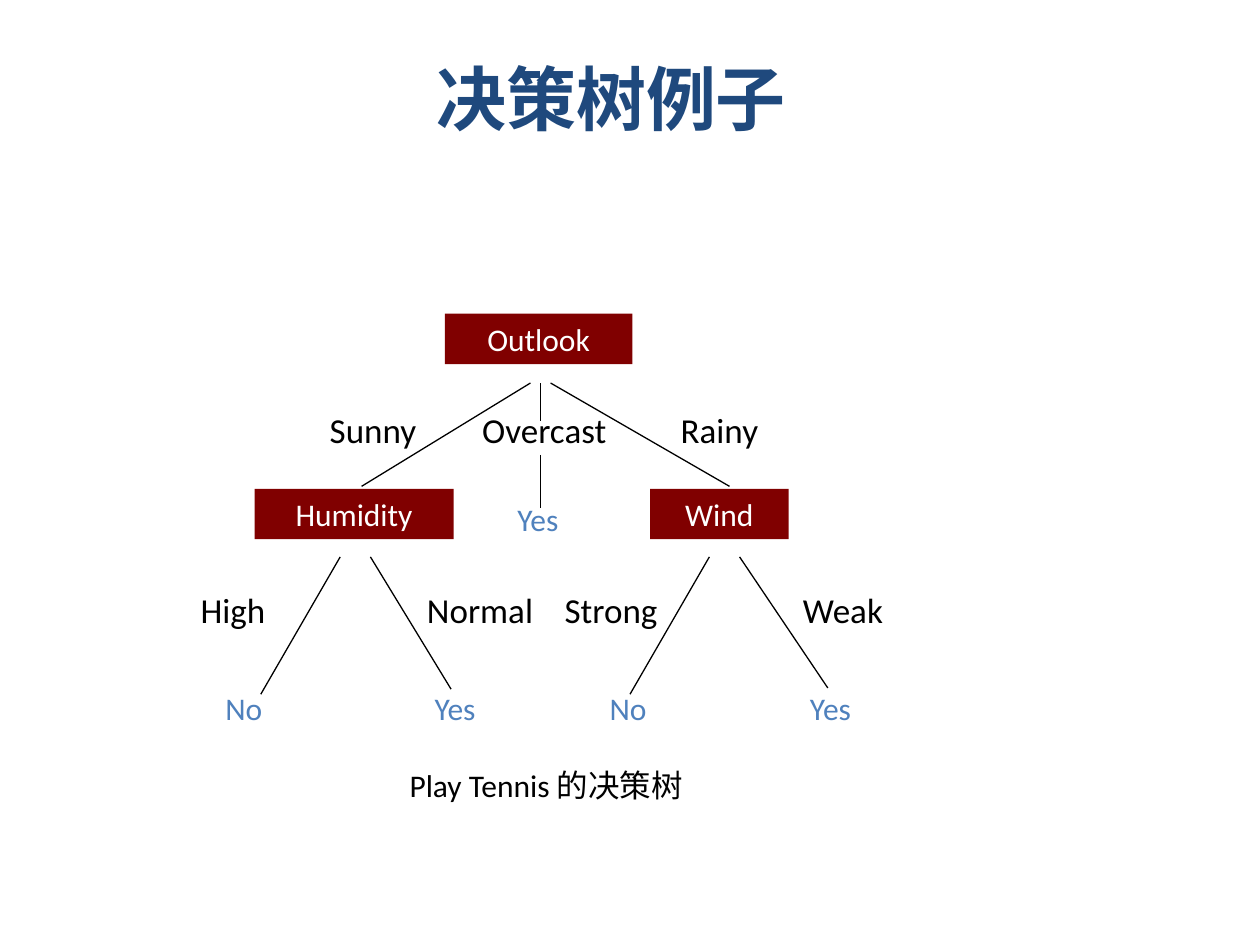
from lxml.etree import SubElement
from pptx import Presentation
from pptx.dml.color import RGBColor as RGB
from pptx.enum.shapes import MSO_CONNECTOR as Conn, MSO_SHAPE as Shape
from pptx.enum.text import MSO_ANCHOR as Anchor, PP_ALIGN as Align
from pptx.oxml.ns import qn
from pptx.util import Inches, Pt

# Content: text, left, top, width, height
TITLE = ("决策树例子", 0.35, 0.36, 9, 0.83)
NOTE = ([("Play Tennis ", "Calibri"), ("的决策树", "DejaVu Sans")], 2.17, 6.03, 4.33, 0.4)

# Tests at the nodes: text, left, top, width
NODES = [
    ("Outlook", 3.53, 2.49, 1.49),
    ("Humidity", 2.02, 3.88, 1.58),
    ("Wind", 5.16, 3.88, 1.1),
]
# Values on the branches, by row: top, then text, left, width
TAGS = {
    3.19: [("Sunny", 2.17, 1.58), ("Overcast", 3.53, 1.58), ("Rainy", 4.92, 1.58)],
    4.62: [("High", 1.3, 1.1), ("Normal", 3.14, 1.34),
           ("Strong", 4.26, 1.18), ("Weak", 6.02, 1.34)],
}
# Answers at the leaves: text, left, top, width, style
LEAVES = [
    ("Yes", 3.85, 3.92, 0.84, "mid"),
    ("No", 1.69, 5.42, 0.71, "leaf"),
    ("Yes", 3.35, 5.42, 0.91, "leaf"),
    ("No", 4.74, 5.42, 0.71, "leaf"),
    ("Yes", 6.33, 5.42, 0.81, "leaf"),
]
# Branches, by start height: start x, end x, end y
LINES = {
    3.04: [(4.21, 2.87, 3.86), (4.29, 4.29, 3.34), (4.37, 5.79, 3.86)],
    3.61: [(4.29, 4.29, 4.03)],
    4.42: [(2.7, 2.07, 5.51), (2.94, 3.58, 5.47),
           (5.63, 5, 5.51), (5.87, 6.57, 5.46)],
}

THEME = {
    "font": "Calibri",
    "node": RGB(0x80, 0, 0),
    "line": RGB(0, 0, 0),
    "width": Pt(0.75),
    "text": {
        "title": {"size": 40, "color": RGB(0x1F, 0x49, 0x7D), "bold": True},
        "note": {"size": 18, "color": RGB(0, 0, 0)},
        "node": {"size": 18, "color": RGB(0xFF, 0xFF, 0xFF)},
        "tag": {"size": 20, "color": RGB(0, 0, 0)},
        "mid": {"size": 18, "color": RGB(0x4F, 0x81, 0xBD)},
        "leaf": {"size": 18, "color": RGB(0x4F, 0x81, 0xBD), "align": Align.LEFT},
    },
}

deck = Presentation()
deck.slide_width, deck.slide_height = Inches(10), Inches(7.5)
slide = deck.slides.add_slide(deck.slide_layouts[6])
shapes = slide.shapes


def write(shape, text, kind):
    """Fill a shape with one line of styled text."""
    look = THEME["text"][kind]
    frame = shape.text_frame
    frame.word_wrap = True
    frame.vertical_anchor = Anchor.MIDDLE if kind == "title" else Anchor.TOP
    para = frame.paragraphs[0]
    para.alignment = look.get("align", Align.CENTER)
    runs = [(text, THEME["font"])] if isinstance(text, str) else text
    for part, name in runs:
        run = para.add_run()
        run.text = part
        form = {"name": name, "size": Pt(look["size"]), "bold": look.get("bold", False)}
        for key, val in form.items():
            setattr(run.font, key, val)
        run.font.color.rgb = look["color"]


def label(text, left, top, width, height, kind):
    box = shapes.add_textbox(*map(Inches, (left, top, width, height)))
    write(box, text, kind)


# Title and caption
label(*TITLE, "title")
label(*NOTE, "note")

# Nodes
for text, left, top, width in NODES:
    node = shapes.add_shape(Shape.RECTANGLE, *map(Inches, (left, top, width, 0.4)))
    node.shadow.inherit = False
    node.fill.solid()
    node.fill.fore_color.rgb = THEME["node"]
    node.line.fill.background()
    write(node, text, "node")

# Branches
for top, row in LINES.items():
    for left, right, base in row:
        line = shapes.add_connector(Conn.STRAIGHT, *map(Inches, (left, top, right, base)))
        line.line.color.rgb = THEME["line"]
        line.line.width = THEME["width"]
        SubElement(line.element.spPr, qn("a:effectLst"))

# Leaves and branch values
for text, left, top, width, kind in LEAVES:
    label(text, left, top, width, 0.5, kind)
for top, row in TAGS.items():
    for text, left, width in row:
        label(text, left, top, width, 0.43, "tag")

deck.save("out.pptx")
